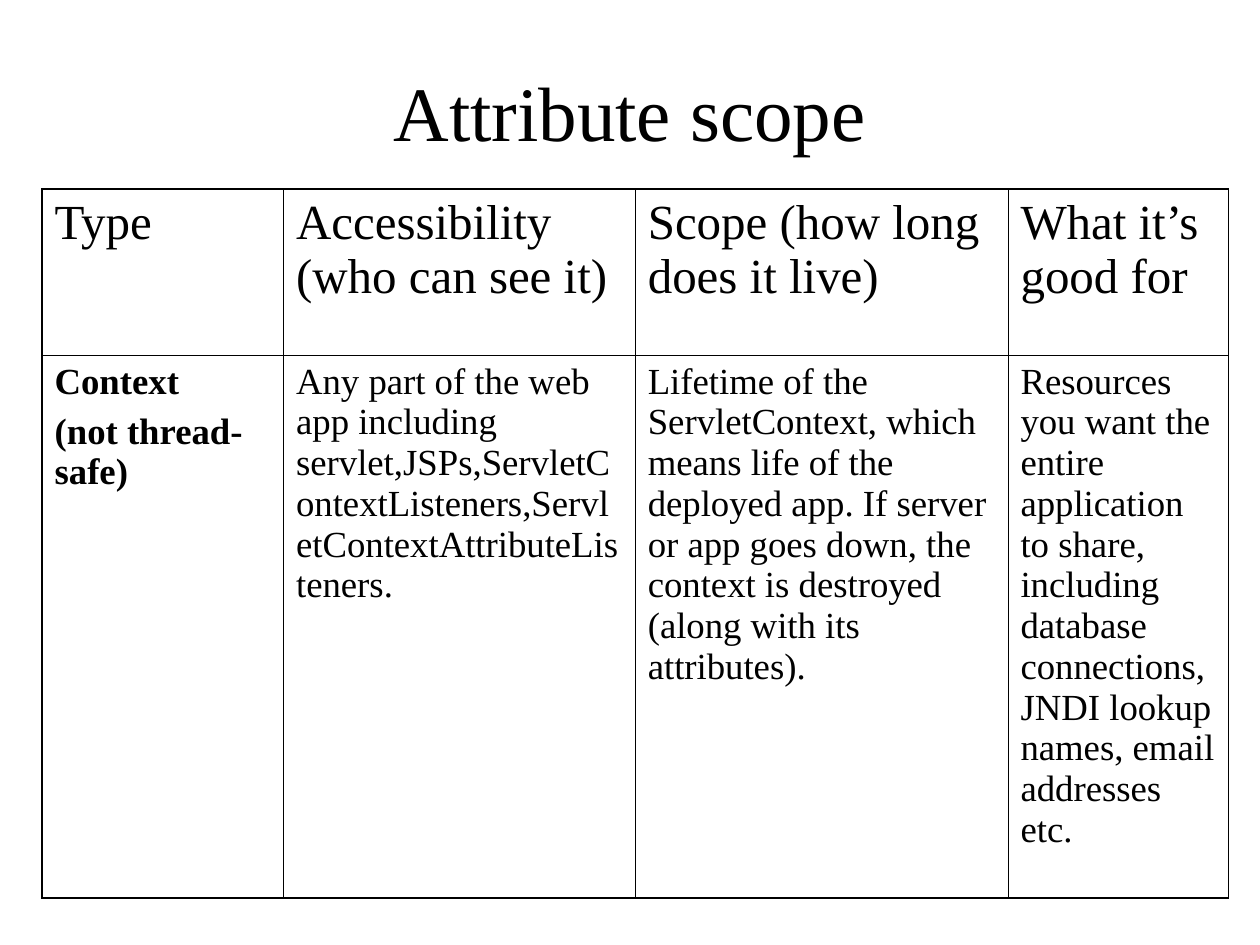
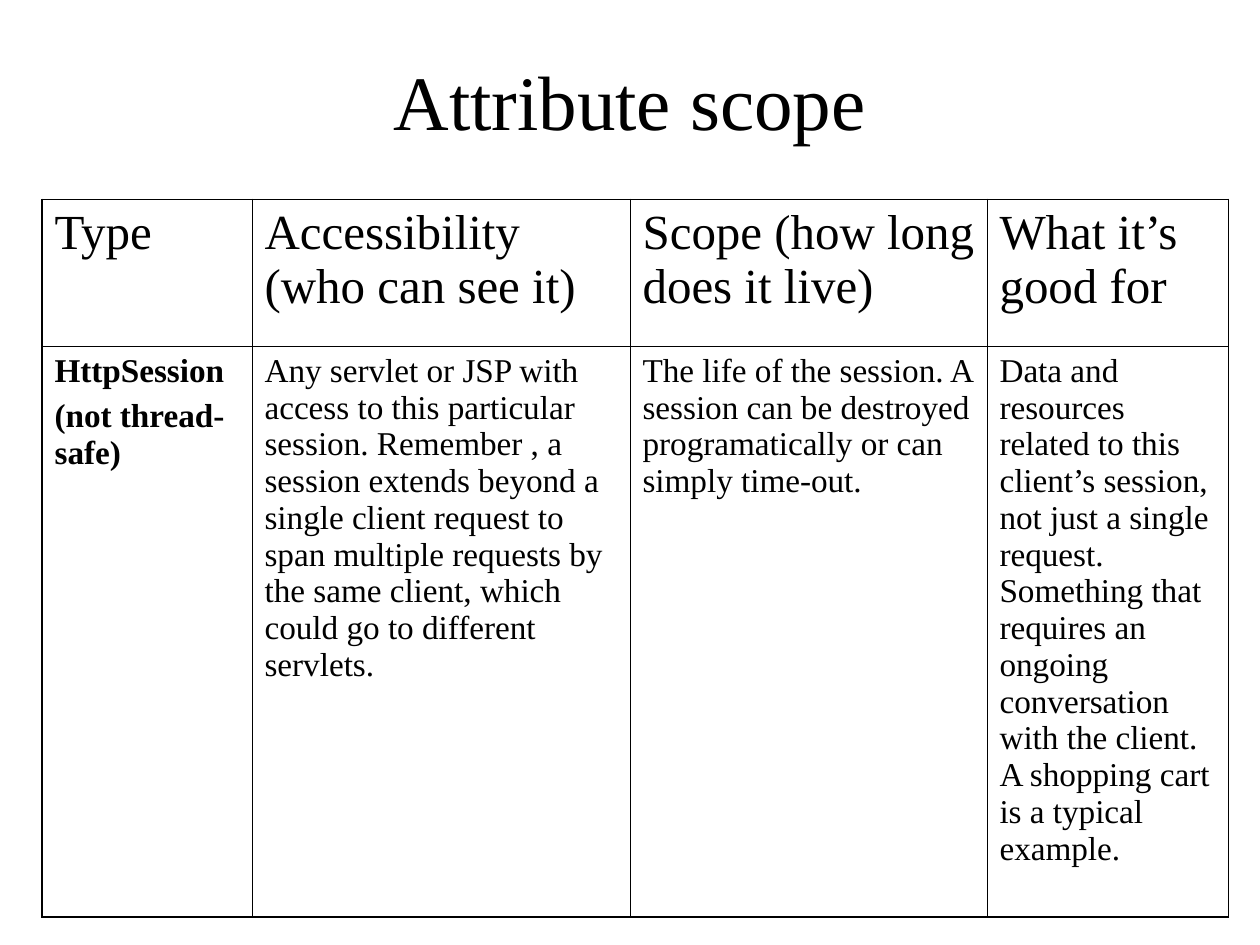
from dataclasses import dataclass

from lxml.etree import SubElement
from pptx import Presentation
from pptx.dml.color import RGBColor
from pptx.enum.text import MSO_ANCHOR as Anchor, MSO_AUTO_SIZE as AutoSize, PP_ALIGN as Align
from pptx.oxml.ns import qn
from pptx.util import Pt


@dataclass(frozen=True)
class Theme:
    """Colours, type sizes and line widths, with lengths in points."""
    font: str = "Times New Roman"
    ink: str = "000000"
    paper: str = "FFFFFF"
    title_size: float = 44
    header_size: float = 28
    space_ratio: float = 0.25
    outer_line: float = 1.08
    inner_line: float = 0.45
    inset_x: float = 7.2
    inset_y: float = 3.6


@dataclass(frozen=True)
class Box:
    """A rectangle in points."""
    left: float
    top: float
    width: float
    height: float

    def lengths(self):
        """Return the four lengths in the order that shapes take them."""
        return [Pt(value) for value in (self.left, self.top, self.width, self.height)]


@dataclass(frozen=True)
class ScopePage:
    """The layout and the wording of one attribute scope slide."""
    title_box: Box
    table_box: Box
    column_widths: tuple
    header_height: float
    body_size: float
    body_texts: tuple


THEME = Theme()
TITLE = "Attribute scope"
HEADERS = (
    "Type",
    "Accessibility (who can see it)",
    "Scope (how long does it live)",
    "What it’s good for",
)
PAGES = (
    ScopePage(
        title_box=Box(54, 24, 612, 78),
        table_box=Box(24, 108, 678, 405),
        column_widths=(138, 201, 213, 126),
        header_height=95,
        body_size=21,
        body_texts=(
            "Context\n(not thread-safe)",
            "Any part of the web app including servlet,JSPs,"
            "ServletContextListeners,ServletContextAttributeListeners.",
            "Lifetime of the ServletContext, which means life of the deployed app. "
            "If server or app goes down, the context is destroyed (along with its attributes).",
            "Resources you want the entire application to share, including database "
            "connections, JNDI lookup names, email addresses etc.",
        ),
    ),
    ScopePage(
        title_box=Box(54, 24, 612, 66),
        table_box=Box(24, 114, 678, 410),
        column_widths=(120, 216, 204, 138),
        header_height=84,
        body_size=19,
        body_texts=(
            "HttpSession\n(not thread-safe)",
            "Any servlet or JSP with access to this particular session. Remember , "
            "a session extends beyond a single client request to span multiple requests "
            "by the same client, which could go to different servlets.",
            "The life of the session. A session can be destroyed programatically "
            "or can simply time-out.",
            "Data and resources related to this client’s session, not just a single request. "
            "Something that requires an ongoing conversation with the client. "
            "A shopping cart is a typical example.",
        ),
    ),
)


def write_text(frame, text, *, size, bold=False, align=Align.LEFT, space_before=0):
    """Fill a text frame, with one paragraph for each line of the text."""
    frame.word_wrap = True
    for index, line in enumerate(text.split("\n")):
        paragraph = frame.add_paragraph() if index else frame.paragraphs[0]
        paragraph.alignment = align
        paragraph.space_before = Pt(space_before)
        run = paragraph.add_run()
        run.text = line
        run.font.name = THEME.font
        run.font.size = Pt(size)
        run.font.bold = bold
        run.font.color.rgb = RGBColor.from_string(THEME.ink)


def set_borders(cell, outer_sides):
    """Draw the four cell borders, heavier on the outer sides of the table."""
    properties = cell._tc.get_or_add_tcPr()
    for side in "LRTB":
        width = THEME.outer_line if side in outer_sides else THEME.inner_line
        line = SubElement(properties, qn(f"a:ln{side}"), w=str(int(Pt(width))))
        fill = SubElement(line, qn("a:solidFill"))
        SubElement(fill, qn("a:srgbClr"), val=THEME.ink)


def add_title(slide, box, text):
    """Place the title placeholder in its box and write it."""
    title = slide.shapes.title
    title.left, title.top, title.width, title.height = box.lengths()
    title.text_frame.auto_size = AutoSize.NONE
    title.text_frame.vertical_anchor = Anchor.MIDDLE
    write_text(title.text_frame, text, size=THEME.title_size, align=Align.CENTER)


def add_scope_table(slide, page):
    """Add the table with a header row and one row of scope details."""
    rows = (HEADERS, page.body_texts)
    last_column = len(HEADERS) - 1
    table = slide.shapes.add_table(len(rows), len(HEADERS), *page.table_box.lengths()).table
    table.first_row = table.horz_banding = False
    for column, width in zip(table.columns, page.column_widths):
        column.width = Pt(width)
    table.rows[0].height = Pt(page.header_height)
    table.rows[1].height = Pt(page.table_box.height - page.header_height)

    for row_index, texts in enumerate(rows):
        size = page.body_size if row_index else THEME.header_size
        for column_index, text in enumerate(texts):
            cell = table.cell(row_index, column_index)
            outer_sides = "B" if row_index else "T"
            outer_sides += {0: "L", last_column: "R"}.get(column_index, "")
            set_borders(cell, outer_sides)
            cell.fill.background()
            cell.margin_left = cell.margin_right = Pt(THEME.inset_x)
            cell.margin_top = cell.margin_bottom = Pt(THEME.inset_y)
            cell.vertical_anchor = Anchor.TOP
            write_text(cell.text_frame, text, size=size,
                       bold=row_index > 0 and column_index == 0,
                       space_before=round(size * THEME.space_ratio, 1))


def add_scope_slide(presentation, page):
    """Add one slide with a title above a scope table."""
    slide = presentation.slides.add_slide(presentation.slide_layouts[5])
    slide.background.fill.solid()
    slide.background.fill.fore_color.rgb = RGBColor.from_string(THEME.paper)
    add_title(slide, page.title_box, TITLE)
    add_scope_table(slide, page)


def main():
    """Build and save the presentation."""
    presentation = Presentation()
    presentation.slide_width = Pt(720)
    presentation.slide_height = Pt(540)
    for page in PAGES:
        add_scope_slide(presentation, page)
    presentation.save("out.pptx")


if __name__ == "__main__":
    main()
